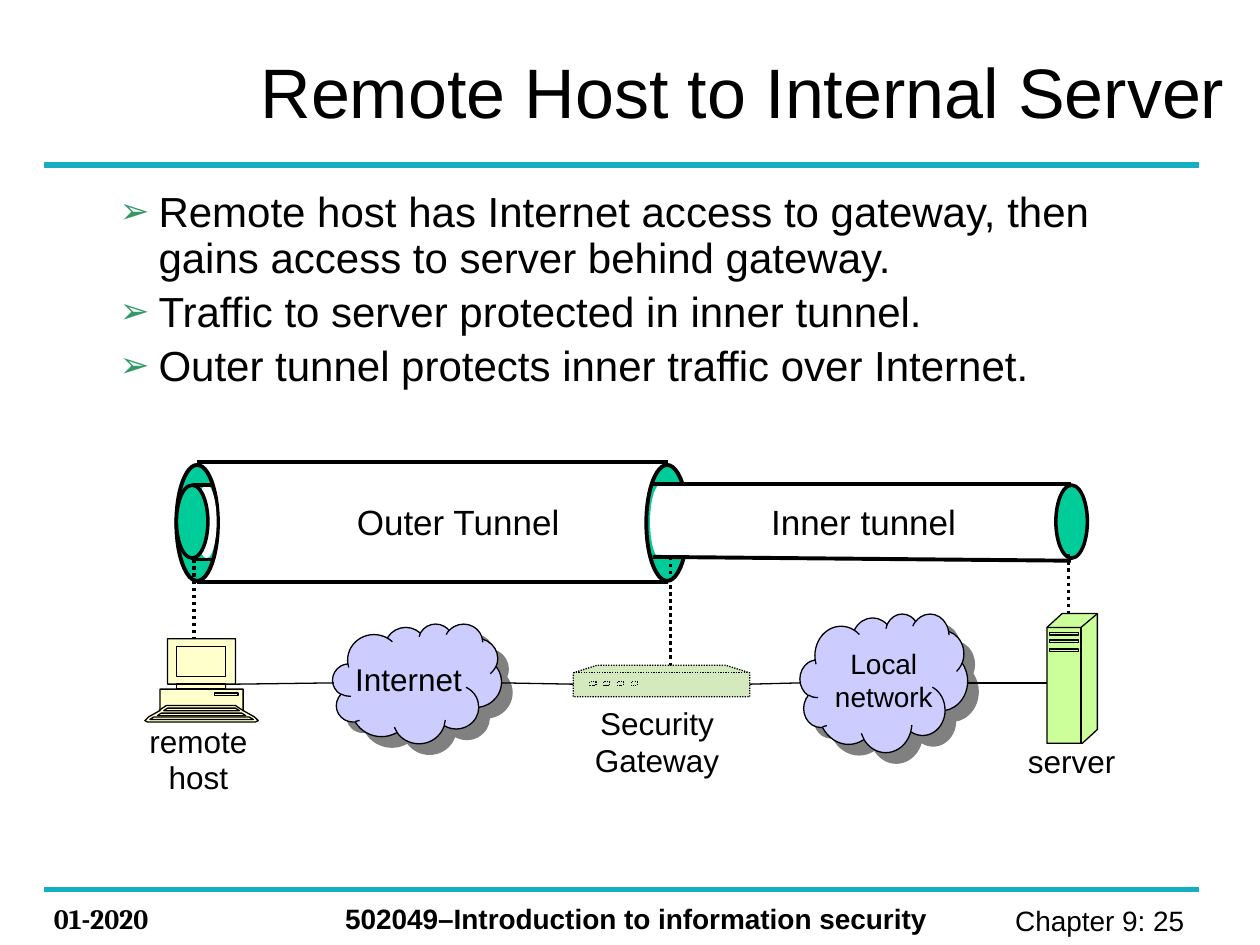
from lxml import etree
from pptx import Presentation
from pptx.dml.color import RGBColor
from pptx.enum.dml import MSO_LINE
from pptx.enum.shapes import MSO_CONNECTOR, MSO_SHAPE
from pptx.enum.text import MSO_ANCHOR, MSO_AUTO_SIZE, PP_ALIGN
from pptx.oxml.ns import qn
from pptx.util import Inches, Pt

LEFT, CENTER, RIGHT = PP_ALIGN.LEFT, PP_ALIGN.CENTER, PP_ALIGN.RIGHT
TOP, MIDDLE = MSO_ANCHOR.TOP, MSO_ANCHOR.MIDDLE
RECT, OVAL, CLOUD = MSO_SHAPE.RECTANGLE, MSO_SHAPE.OVAL, MSO_SHAPE.CLOUD
STRAIGHT = MSO_CONNECTOR.STRAIGHT
DOTTED = MSO_LINE.ROUND_DOT
GROW = MSO_AUTO_SIZE.SHAPE_TO_FIT_TEXT

COLORS = {
    "text": "000000",
    "rule": "16AFC2",
    "bullet": "339966",
    "tunnel": "00CC99",
    "inside": "FFFFFF",
    "cloud": "CCCCFF",
    "shadow": "808080",
    "host": "FFFFCC",
    "gateway": "D4EABE",
    "server": "CCFF99",
}


def rgb(name):
    return RGBColor.from_string(COLORS[name])


def add_color(parent, name):
    etree.SubElement(parent, qn("a:srgbClr"), val=COLORS[name])


def add_bullet(p):
    pPr = p._p.get_or_add_pPr()
    pPr.set("marL", str(Inches(0.81)))
    pPr.set("indent", str(Inches(-0.31)))
    add_color(etree.SubElement(pPr, qn("a:buClr")), "bullet")
    etree.SubElement(pPr, qn("a:buSzPct"), val="85000")
    etree.SubElement(pPr, qn("a:buFont"), typeface="Arial")
    etree.SubElement(pPr, qn("a:buChar"), char="➢")


def write(tf, text, size=18, font="Arial", bold=False, align=LEFT,
          spacing=None, before=None, bullet=False):
    for i, line in enumerate(text.split("\n")):
        p = tf.paragraphs[0] if i == 0 else tf.add_paragraph()
        p.alignment = align
        p.line_spacing = spacing
        p.space_before = None if before is None else Pt(before)
        if bullet:
            add_bullet(p)
        r = p.add_run()
        r.text = line
        r.font.size = Pt(size)
        r.font.name = font
        r.font.bold = bold
        r.font.color.rgb = rgb("text")


class Canvas:
    def __init__(self, slide):
        self.shapes = slide.shapes

    def style(self, sp, fill, width, dash=None):
        sp.shadow.inherit = False
        if fill:
            sp.fill.solid()
            sp.fill.fore_color.rgb = rgb(fill)
        else:
            sp.fill.background()
        if width:
            sp.line.color.rgb = rgb("text")
            sp.line.width = Pt(width)
            sp.line.dash_style = dash
        else:
            sp.line.fill.background()
        return sp

    def text(self, x, y, w, h, text, anchor=TOP, wrap=True, grow=True, **fmt):
        sp = self.shapes.add_textbox(Inches(x), Inches(y), Inches(w), Inches(h))
        tf = sp.text_frame
        tf.word_wrap = wrap
        tf.vertical_anchor = anchor
        if grow:
            tf.auto_size = GROW
        write(tf, text, **fmt)

    def label(self, x, y, h, text):
        self.text(x, y, 1.33, h, text, align=CENTER, spacing=0.5, before=10)

    def shape(self, kind, x, y, w, h, fill, width=0.75, dash=None):
        sp = self.shapes.add_shape(kind, Inches(x), Inches(y), Inches(w), Inches(h))
        return self.style(sp, fill, width, dash)

    def cloud(self, x, y, w, h):
        sp = self.shape(CLOUD, x, y, w, h, "cloud")
        effects = sp._element.spPr.find(qn("a:effectLst"))
        shadow = etree.SubElement(effects, qn("a:outerShdw"), blurRad="0",
                                  dist=str(Pt(8.5)), dir="2700000",
                                  algn="ctr", rotWithShape="0")
        add_color(shadow, "shadow")

    def outline(self, points, fill=None, width=0.75, dash=None, close=True):
        pts = [(Inches(x), Inches(y)) for x, y in points]
        builder = self.shapes.build_freeform(*pts[0], scale=1.0)
        builder.add_line_segments(pts[1:], close=close)
        return self.style(builder.convert_to_shape(), fill, width, dash)

    def line(self, x1, y1, x2, y2, width=0.75, color="text", dash=None):
        cn = self.shapes.add_connector(STRAIGHT, Inches(x1), Inches(y1),
                                       Inches(x2), Inches(y2))
        cn.line.color.rgb = rgb(color)
        cn.line.width = Pt(width)
        cn.line.dash_style = dash
        etree.SubElement(cn._element.spPr, qn("a:effectLst"))


def draw_frame(s):
    for y in (1.31, 7.06):
        s.line(0.35, y, 9.52, y, 3, "rule")
    s.text(7.36, 7.12, 2.2, 0.37, "Chapter 9: 25 ", size=16, align=RIGHT)
    s.text(0.33, 7.11, 1.33, 0.37, "01-2020", size=16, font="Cambria", bold=True)
    s.text(2.64, 7.11, 5.04, 0.37, "502049–Introduction to information security",
           size=16, bold=True)
    s.text(1.97, 0.28, 8.03, 0.87, "Remote Host to Internal Server",
           anchor=MIDDLE, grow=False, size=40)
    s.text(0.35, 1.47, 9.21, 1.81,
           "Remote host has Internet access to gateway, then gains access to "
           "server behind gateway.\n"
           "Traffic to server protected in inner tunnel.\n"
           "Outer tunnel protects inner traffic over Internet.",
           grow=False, size=24, spacing=0.9, before=5, bullet=True)


def draw_host(s):
    right = [(1.87, 5.07), (1.87, 5.43), (1.79, 5.43), (1.79, 5.47), (1.93, 5.47),
             (1.93, 5.64), (2.02, 5.69), (2.05, 5.72), (2.03, 5.73)]
    left = [(3.2 - x, y) for x, y in reversed(right)]
    s.outline(right + left, "host")
    s.shape(RECT, 1.4, 5.13, 0.39, 0.24, "host")
    s.shape(RECT, 1.4, 5.43, 0.39, 0.04, "host")
    s.shape(RECT, 1.7, 5.5, 0.19, 0.02, "host")
    s.outline([(1.93, 5.64), (1.87, 5.6), (1.32, 5.6), (1.26, 5.64)], close=False)
    for bottom, half in ((5.64, 0.3), (5.68, 0.35), (5.71, 0.41)):
        top, inner = bottom - 0.02, half - 0.03
        s.outline([(1.6 - half, bottom), (1.6 - inner, top),
                   (1.6 + inner, top), (1.6 + half, bottom)], "host")


def draw_gateway(s):
    s.outline([(4.55, 5.34), (4.74, 5.28), (5.76, 5.28), (5.95, 5.34),
               (5.95, 5.53), (4.55, 5.53)], "gateway", dash=DOTTED)
    s.line(4.55, 5.34, 5.95, 5.34, dash=DOTTED)
    for i in range(4):
        s.shape(RECT, 4.68 + 0.11 * i, 5.41, 0.05, 0.03, "gateway", dash=DOTTED)


def draw_server(s):
    s.outline([(8.31, 4.98), (8.43, 4.87), (8.71, 4.87), (8.71, 5.79),
               (8.59, 5.9), (8.31, 5.9)], "server")
    s.outline([(8.31, 4.98), (8.58, 4.98), (8.71, 4.87)], close=False)
    s.line(8.58, 4.98, 8.58, 5.9)
    for y in (5.02, 5.08, 5.15):
        s.shape(RECT, 8.33, y, 0.23, 0.02, "server")


def draw_diagram(s):
    s.shape(OVAL, 1.4, 3.69, 0.33, 0.92, "tunnel", 2.25)
    s.cloud(6.35, 4.87, 1.33, 1.1)
    s.text(6.43, 5.08, 1.17, 0.64, "Local network", size=16, align=CENTER, before=8)
    s.text(1.8, 3.92, 3.75, 0.43, "Outer Tunnel ", size=20, align=CENTER, before=10)
    s.line(1.54, 4.44, 1.54, 5.44, 2, dash=DOTTED)
    draw_host(s)
    s.label(4.55, 5.67, 0.55, "Security\nGateway")

    s.shape(OVAL, 5.13, 3.69, 0.33, 0.92, "tunnel", 2.25)
    inner = s.shape(RECT, 5.24, 3.85, 3.23, 0.58, "inside", None)
    inner.text_frame.word_wrap = False
    inner.text_frame.vertical_anchor = MIDDLE
    write(inner.text_frame, "Inner tunnel", size=20, align=CENTER)
    s.shape(OVAL, 5.16, 3.85, 0.16, 0.58, "inside", None)
    s.shape(OVAL, 8.38, 3.85, 0.25, 0.58, "tunnel", 2)
    s.shape(OVAL, 1.56, 3.85, 0.16, 0.58, "inside", None)
    s.shape(OVAL, 1.4, 3.85, 0.25, 0.58, "tunnel", 2)
    for y in (3.85, 4.44):
        s.line(1.53, y, 1.69, y, 2)
    for y in (3.67, 4.62):
        s.line(1.56, y, 5.3, y, 2.25)

    s.cloud(2.64, 4.95, 1.34, 0.95)
    s.text(2.72, 5.19, 1.05, 0.4, "Internet", wrap=False)
    s.line(1.87, 5.43, 2.65, 5.42)
    s.line(8.5, 4.45, 5.18, 4.42, 2.25)
    s.line(8.5, 3.84, 5.18, 3.84, 2.25)
    s.line(8.48, 4.4, 8.48, 5.14, 2, dash=DOTTED)
    s.line(5.32, 4.42, 5.32, 5.42, 2, dash=DOTTED)
    draw_gateway(s)
    s.line(3.98, 5.42, 4.55, 5.43)
    s.line(6.35, 5.42, 5.95, 5.43)
    s.line(7.68, 5.42, 8.31, 5.42)
    draw_server(s)
    s.label(7.84, 5.97, 0.25, "server")
    s.label(0.91, 5.81, 0.55, "remote\nhost")


def main():
    prs = Presentation()
    prs.slide_width, prs.slide_height = Inches(10), Inches(7.5)
    s = Canvas(prs.slides.add_slide(prs.slide_layouts[6]))
    draw_frame(s)
    draw_diagram(s)
    prs.save("out.pptx")


if __name__ == "__main__":
    main()
